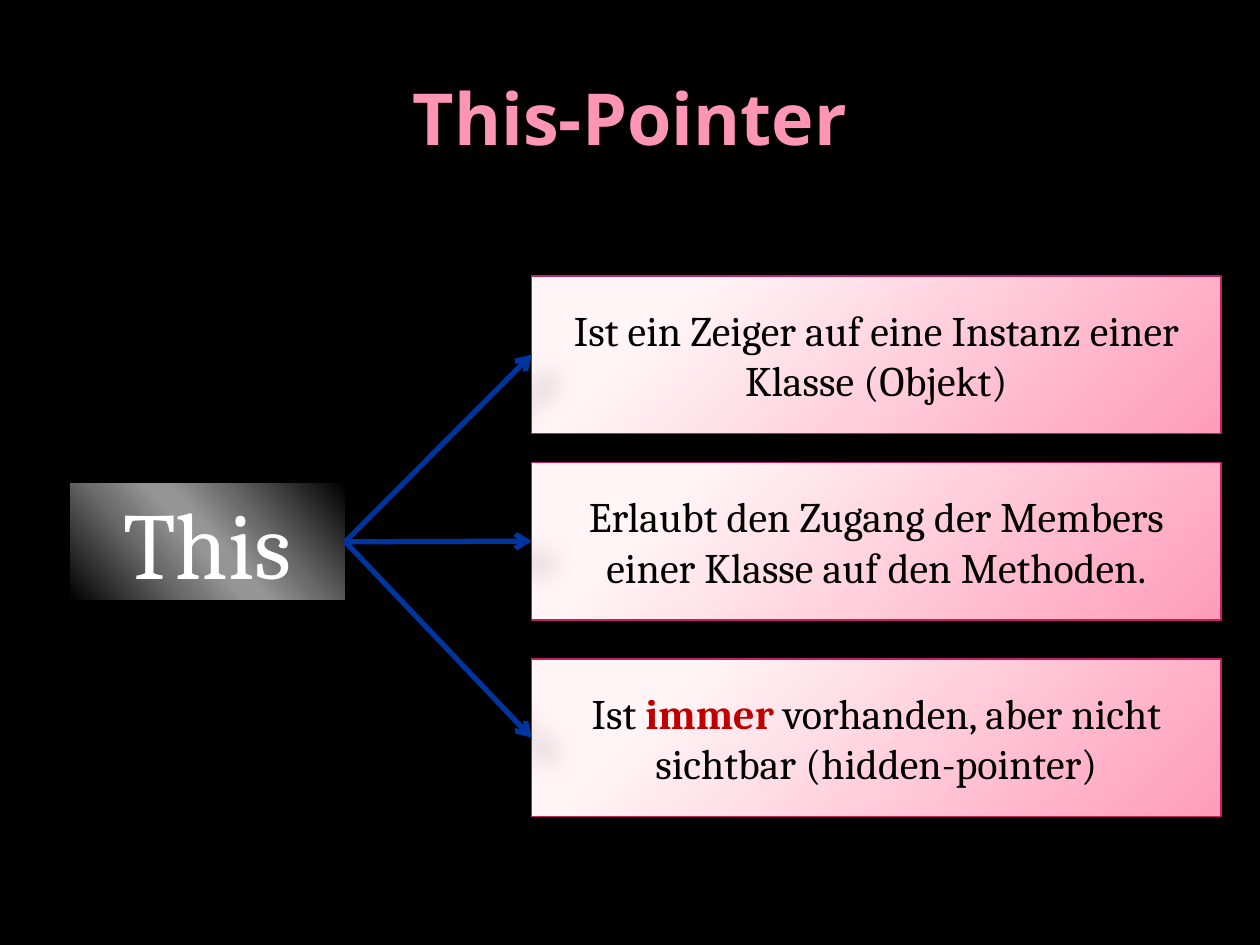
from lxml import etree
from pptx import Presentation
from pptx.dml.color import RGBColor
from pptx.enum import shapes, text
from pptx.oxml.ns import nsdecls, qn
from pptx.util import Inches, Pt

TITLE = "This-Pointer"
SOURCE = "This"
BLACK, WHITE, PINK, RED, BLUE = "000000", "FFFFFF", "FF95B5", "C00000", "00349E"
BORDER = "C12165"

# Each statement: top edge in inches, then runs of (text, highlighted)
STATEMENTS = [
    (2.19, [("Ist ein Zeiger auf eine Instanz einer Klasse (Objekt)", False)]),
    (3.67, [("Erlaubt den Zugang der Members einer Klasse auf den Methoden.", False)]),
    (5.23, [("Ist ", False), ("immer", True),
            (" vorhanden, aber nicht sichtbar (hidden-pointer)", False)]),
]
BOX_LEFT, BOX_W, BOX_H = 4.22, 5.47, 1.25
SRC_LEFT, SRC_TOP, SRC_W, SRC_H = 0.55, 3.83, 2.19, 0.94

GREY_STOPS = [(0, BLACK), (33, "6B6B6B"), (47, "959595"),
              (53, "959595"), (68, "6C6C6C"), (100, BLACK)]
GREY_DIRECTION = f'<a:lin ang="{139 * 60000}" scaled="0"/>'
PINK_STOPS = [(20, "FFF5F7"), (100, "FF9CB9")]
PINK_DIRECTION = ('<a:path path="circle"><a:fillToRect l="-15000" t="-15000" '
                  'r="115000" b="115000"/></a:path>')
# Opacity in percent, blur and distance in points
STRONG_SHADOW = (26, 15, 18)
SOFT_SHADOW = (35, 10.2, 8)


def rgb(value):
    return RGBColor.from_string(value)


def set_gradient(sp, stops, direction):
    sp.fill.solid()
    marks = "".join(f'<a:gs pos="{pos * 1000}"><a:srgbClr val="{color}"/></a:gs>'
                    for pos, color in stops)
    gradient = etree.fromstring(f'<a:gradFill {nsdecls("a")} rotWithShape="1">'
                                f'<a:gsLst>{marks}</a:gsLst>{direction}</a:gradFill>')
    props = sp._element.spPr
    props.replace(props.find(qn("a:solidFill")), gradient)


def set_shadow(sp, opacity, blur, distance):
    """Add a shadow falling to the lower right; fill and line must be set first."""
    sp._element.spPr.append(etree.fromstring(
        f'<a:effectLst {nsdecls("a")}><a:outerShdw blurRad="{Pt(blur)}" '
        f'dist="{Pt(distance)}" dir="{45 * 60000}" algn="tl" rotWithShape="0">'
        f'<a:srgbClr val="{BLACK}"><a:alpha val="{opacity * 1000}"/></a:srgbClr>'
        '</a:outerShdw></a:effectLst>'))


def write(sp, runs):
    """Fill a shape with centred runs of (text, font, size, colour, bold)."""
    tf = sp.text_frame
    tf.word_wrap = True
    tf.vertical_anchor = text.MSO_ANCHOR.MIDDLE
    p = tf.paragraphs[0]
    p.alignment = text.PP_ALIGN.CENTER
    for words, font, size, color, bold in runs:
        r = p.add_run()
        r.text = words
        r.font.name, r.font.size, r.font.bold = font, Pt(size), bold
        r.font.color.rgb = rgb(color)


def add_box(s, left, top, width, height, stops, direction, border, shadow):
    sp = s.shapes.add_shape(shapes.MSO_SHAPE.RECTANGLE, *map(Inches, (left, top, width, height)))
    set_gradient(sp, stops, direction)
    sp.line.color.rgb = rgb(border)
    sp.line.width = Pt(0.75)
    set_shadow(sp, *shadow)
    return sp


def add_arrow(s, x1, y1, x2, y2):
    line = s.shapes.add_connector(shapes.MSO_CONNECTOR.STRAIGHT, *map(Inches, (x1, y1, x2, y2)))
    line.line.color.rgb = rgb(BLUE)
    line.line.width = Pt(3)
    etree.SubElement(line.line._get_or_add_ln(), qn("a:tailEnd"), type="arrow")
    set_shadow(line, *STRONG_SHADOW)


def main():
    prs = Presentation()
    prs.slide_width, prs.slide_height = Inches(10), Inches(7.5)
    s = prs.slides.add_slide(prs.slide_layouts[6])
    s.background.fill.solid()
    s.background.fill.fore_color.rgb = rgb(BLACK)

    title = s.shapes.add_textbox(*map(Inches, (0.5, 0.3, 9, 1.25)))
    write(title, [(TITLE, "Noto Sans", 41, PINK, True)])

    source = add_box(s, SRC_LEFT, SRC_TOP, SRC_W, SRC_H,
                     GREY_STOPS, GREY_DIRECTION, BLACK, STRONG_SHADOW)
    write(source, [(SOURCE, "Cambria", 54, WHITE, False)])

    for top, runs in STATEMENTS:
        box = add_box(s, BOX_LEFT, top, BOX_W, BOX_H,
                      PINK_STOPS, PINK_DIRECTION, BORDER, SOFT_SHADOW)
        write(box, [(words, "Cambria", 24, RED if marked else BLACK, marked)
                    for words, marked in runs])
        add_arrow(s, SRC_LEFT + SRC_W, SRC_TOP + SRC_H / 2, BOX_LEFT, top + BOX_H / 2)

    prs.save("out.pptx")


if __name__ == "__main__":
    main()
